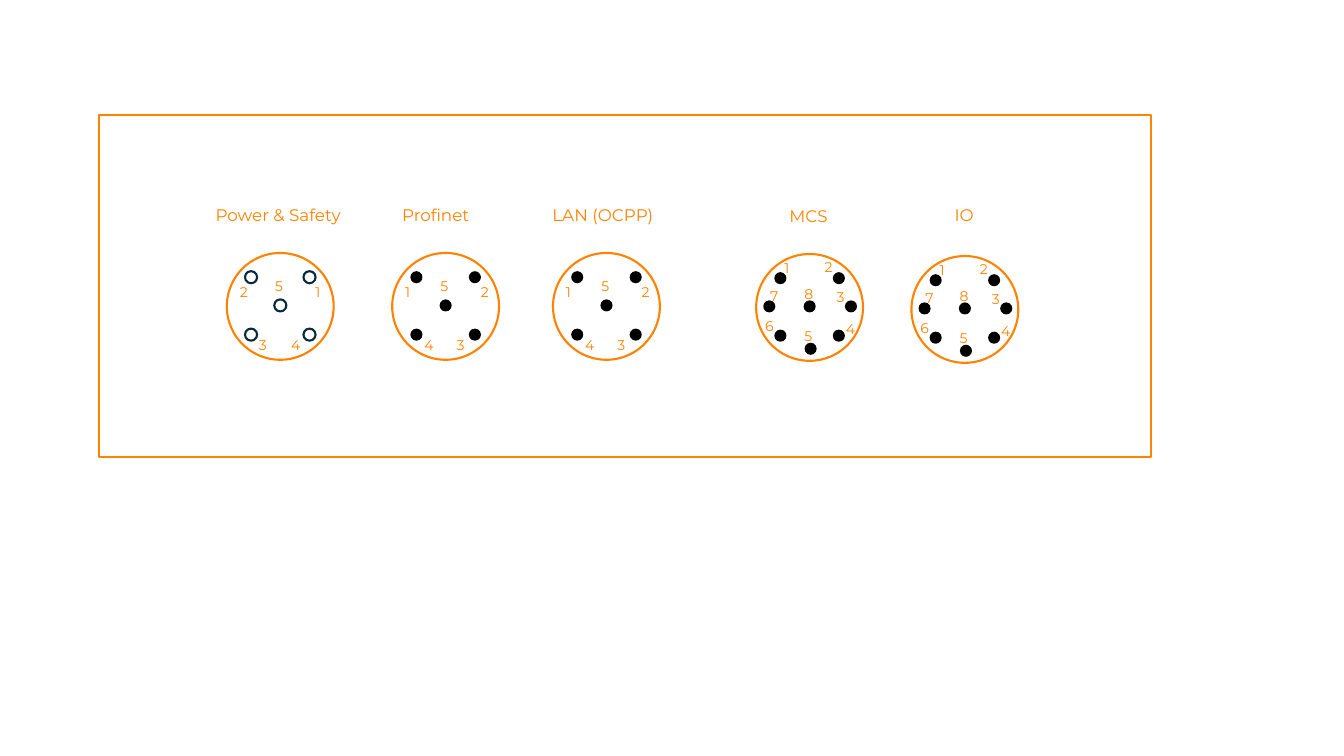
from dataclasses import dataclass

from pptx import Presentation
from pptx.dml.color import RGBColor
from pptx.enum.shapes import MSO_SHAPE as Shape
from pptx.enum.text import MSO_AUTO_SIZE as AutoSize
from pptx.util import Inches, Pt


@dataclass(frozen=True)
class Theme:
    orange: RGBColor = RGBColor(0xFF, 0x82, 0x00)
    navy: RGBColor = RGBColor(0x09, 0x2A, 0x39)
    black: RGBColor = RGBColor(0x00, 0x00, 0x00)
    font: str = "Montserrat"
    label_size: int = 12
    number_size: int = 10
    line_width: float = 1.5


THEME = Theme()
RING_SIZE, PIN_SIZE = 1.06, 0.12
NUMBER_WIDTH, NUMBER_HEIGHT = 0.29, 0.27
LABEL_HEIGHT = 0.3

# Offsets from the top left corner of a connector ring
FIVE_PINS = [(0.18, 0.18), (0.76, 0.18), (0.18, 0.75), (0.76, 0.75), (0.47, 0.46)]
EIGHT_PINS = FIVE_PINS + [(0.48, 0.88), (0.07, 0.46), (0.88, 0.46)]
FIVE_NUMBERS = [(0.03, 0.25), (0.78, 0.25), (0.38, 0.19), (0.22, 0.78), (0.54, 0.78)]
EIGHT_NUMBERS = [(0.18, 0.01), (0.58, 0), (0.38, 0.68), (0.79, 0.61),
                 (0.7, 0.29), (-0.01, 0.58), (0.04, 0.28), (0.38, 0.26)]

# Label, label left, top and width, ring left and top, numbers in order, hollow pins
CONNECTORS = [
    ("Power & Safety", 2.04, 1.98, 1.62, 2.25, 2.51, "21534", True),
    ("Profinet", 3.89, 1.98, 0.93, 3.89, 2.51, "12543", False),
    ("LAN (OCPP)", 5.38, 1.98, 1.29, 5.485, 2.51, "12543", False),
    ("MCS", 7.73, 1.99, 0.61, 7.5, 2.52, "12543678", False),
    ("IO", 9.37, 1.98, 0.41, 9.04, 2.54, "12543678", False),
]


def add_outline(page, kind, left, top, width, height, line=None, fill=None):
    shape = page.shapes.add_shape(
        kind, Inches(left), Inches(top), Inches(width), Inches(height))
    shape.shadow.inherit = False
    if fill is None:
        shape.fill.background()
    else:
        shape.fill.solid()
        shape.fill.fore_color.rgb = fill
    if line is None:
        shape.line.fill.background()
    else:
        shape.line.color.rgb = line
        shape.line.width = Pt(THEME.line_width)


def add_text(page, text, left, top, width, height, size, wrap):
    box = page.shapes.add_textbox(
        Inches(left), Inches(top), Inches(width), Inches(height))
    frame = box.text_frame
    frame.word_wrap = wrap
    frame.auto_size = AutoSize.SHAPE_TO_FIT_TEXT
    run = frame.paragraphs[0].add_run()
    run.text = text
    run.font.name = THEME.font
    run.font.size = Pt(size)
    run.font.color.rgb = THEME.orange


def add_connector_face(page, left, top, numbers, hollow):
    add_outline(page, Shape.OVAL, left, top, RING_SIZE, RING_SIZE, line=THEME.orange)
    five = len(numbers) == 5
    pins = FIVE_PINS if five else EIGHT_PINS
    places = FIVE_NUMBERS if five else EIGHT_NUMBERS
    style = {"line": THEME.navy} if hollow else {"fill": THEME.black}
    for across, down in pins:
        add_outline(page, Shape.OVAL, left + across, top + down,
                    PIN_SIZE, PIN_SIZE, **style)
    for number, (across, down) in zip(numbers, places):
        add_text(page, number, left + across, top + down,
                 NUMBER_WIDTH, NUMBER_HEIGHT, THEME.number_size, wrap=True)


def main():
    deck = Presentation()
    deck.slide_width, deck.slide_height = Inches(13.33), Inches(7.5)
    page = deck.slides.add_slide(deck.slide_layouts[6])

    # Panel
    add_outline(page, Shape.RECTANGLE, 0.98, 1.14, 10.44, 3.39, line=THEME.orange)

    # Labelled connectors
    for label, label_left, label_top, width, left, top, numbers, hollow in CONNECTORS:
        add_text(page, label, label_left, label_top, width, LABEL_HEIGHT,
                 THEME.label_size, wrap=False)
        add_connector_face(page, left, top, numbers, hollow)

    deck.save("out.pptx")


if __name__ == "__main__":
    main()
